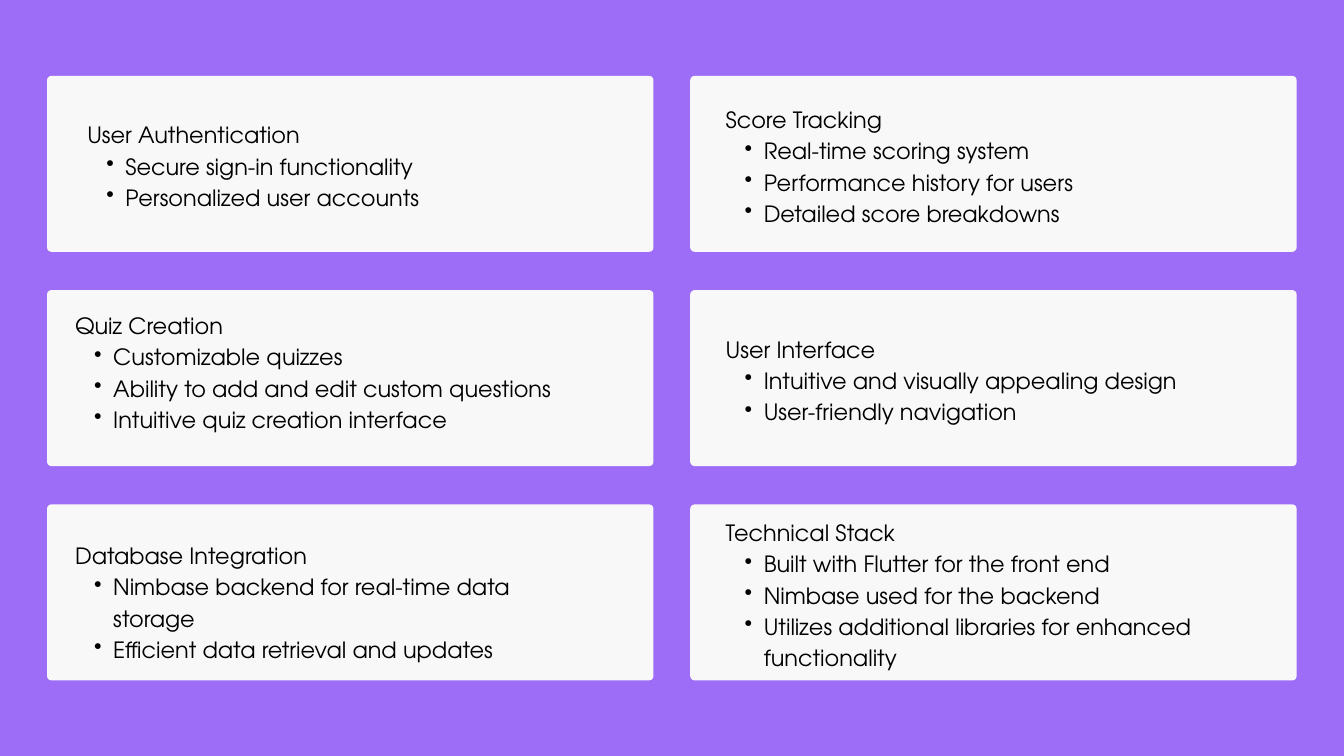
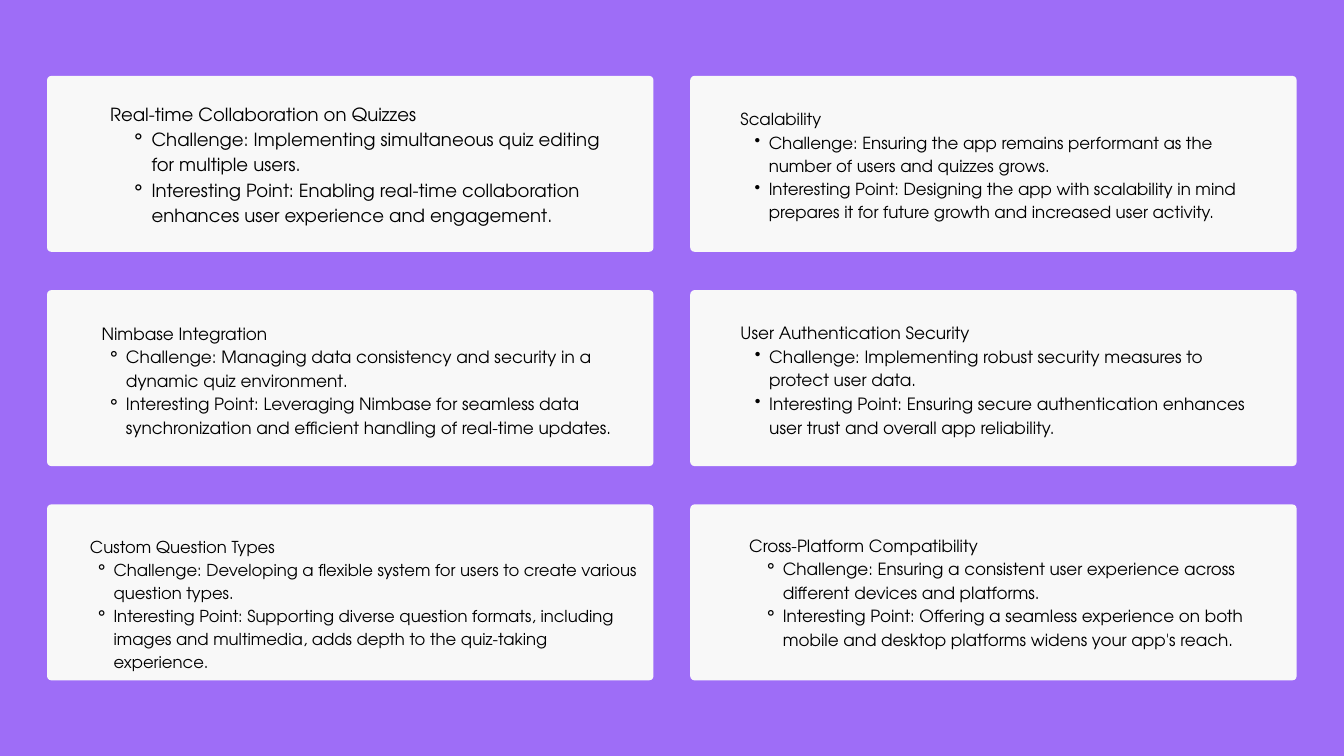
from dataclasses import dataclass

from lxml import etree
from pptx import Presentation
from pptx.dml.color import RGBColor
from pptx.enum import shapes, text
from pptx.oxml.ns import qn
from pptx.util import Cm, Pt

# Shared look
COLORS = {"background": "9E6DF7", "card": "F8F8F8", "ink": "000000"}
FONT = "TeX Gyre Adventor"
LINE_FACTOR = 1.4

# Card grid, in cm
CARD_W, CARD_H, CORNER = 22.92, 6.65, 0.16
LEFT, TOP = 1.78, 2.87
COLUMN_STEP, ROW_STEP = 24.31, 8.1

# Bullet styles: character, level, indent and hang in cm per point of text
DOT = ("•", 1, 0.06, 0.03)
RING = ("⚬", 2, 0.12, 0.04)


@dataclass
class Topic:
    heading: str
    points: list
    offset: tuple  # from the card's corner, in cm
    extent: tuple  # width and height of the text, in cm
    size: float = 24
    bullet: tuple = DOT
    heading_indent: float = 0


# Topics run row by row, left to right
FEATURES = [
    Topic("User Authentication",
          ["Secure sign-in functionality", "Personalized user accounts"],
          (1.52, 1.55), (19.13, 3.43)),
    Topic("Score Tracking",
          ["Real-time scoring system", "Performance history for users",
           "Detailed score breakdowns"],
          (1.34, 0.97), (19.13, 4.6)),
    Topic("Quiz Creation",
          ["Customizable quizzes", "Ability to add and edit custom questions",
           "Intuitive quiz creation interface"],
          (1.06, 0.66), (19.13, 4.6)),
    Topic("User Interface",
          ["Intuitive and visually appealing design", "User-friendly navigation"],
          (1.34, 1.55), (19.13, 3.43)),
    Topic("Database Integration",
          ["Nimbase backend for real-time data storage",
           "Efficient data retrieval and updates"],
          (1.06, 1.25), (19.13, 3.43)),
    Topic("Technical Stack",
          ["Built with Flutter for the front end", "Nimbase used for the backend",
           "Utilizes additional libraries for enhanced functionality"],
          (1.34, 0.38), (19.13, 5.77)),
]

CHALLENGES = [
    Topic("Real-time Collaboration on Quizzes",
          ["Challenge: Implementing simultaneous quiz editing for multiple users.",
           "Interesting Point: Enabling real-time collaboration enhances user "
           "experience and engagement."],
          (1.62, 0.89), (19.66, 4.7), 19.4, RING, 0.76),
    Topic("Scalability",
          ["Challenge: Ensuring the app remains performant as the number of users "
           "and quizzes grows.",
           "Interesting Point: Designing the app with scalability in mind prepares "
           "it for future growth and increased user activity."],
          (1.9, 1.14), (19.69, 4.27), 17.8),
    Topic("Nimbase Integration",
          ["Challenge: Managing data consistency and security in a dynamic quiz "
           "environment.",
           "Interesting Point: Leveraging Nimbase for seamless data synchronization "
           "and efficient handling of real-time updates."],
          (0.81, 1.12), (21.29, 4.34), 18.1, RING, 1.25),
    Topic("User Authentication Security",
          ["Challenge: Implementing robust security measures to protect user data.",
           "Interesting Point: Ensuring secure authentication enhances user trust "
           "and overall app reliability."],
          (1.9, 1.1), (19.13, 4.34), 18.1),
    Topic("Custom Question Types",
          ["Challenge: Developing a flexible system for users to create various "
           "question types.",
           "Interesting Point: Supporting diverse question formats, including images "
           "and multimedia, adds depth to the quiz-taking experience."],
          (0.4, 1.1), (22.1, 4.22), 17.6, RING, 1.22),
    Topic("Cross-Platform Compatibility",
          ["Challenge: Ensuring a consistent user experience across different "
           "devices and platforms.",
           "Interesting Point: Offering a seamless experience on both mobile and "
           "desktop platforms widens your app's reach."],
          (1.34, 1.04), (20.24, 4.32), 18, RING, 0.89),
]


def paint(fill, color):
    fill.solid()
    fill.fore_color.rgb = RGBColor.from_string(COLORS[color])


def add_card(slide, left, top):
    card = slide.shapes.add_shape(shapes.MSO_SHAPE.ROUNDED_RECTANGLE,
                                  Cm(left), Cm(top), Cm(CARD_W), Cm(CARD_H))
    card.adjustments[0] = CORNER / CARD_H
    card.shadow.inherit = False
    card.line.fill.background()
    paint(card.fill, "card")


def format_line(line, size, indent, hang=0, bullet=None):
    line.line_spacing = Pt(size * LINE_FACTOR)
    properties = line._p.get_or_add_pPr()
    properties.set("marL", str(Cm(indent)))
    properties.set("indent", str(-Cm(hang)))
    if bullet:
        etree.SubElement(properties, qn("a:buChar")).set("char", bullet)
    line.font.size = Pt(size)
    line.font.name = FONT
    line.font.color.rgb = RGBColor.from_string(COLORS["ink"])


def add_topic_text(slide, topic, left, top):
    width, height = topic.extent
    frame = slide.shapes.add_textbox(Cm(left), Cm(top), Cm(width), Cm(height)).text_frame
    frame.word_wrap = True
    frame.auto_size = text.MSO_AUTO_SIZE.SHAPE_TO_FIT_TEXT
    frame.margin_left = frame.margin_right = 0
    frame.margin_top = frame.margin_bottom = 0

    heading = frame.paragraphs[0]
    heading.text = topic.heading
    format_line(heading, topic.size, topic.heading_indent)

    character, level, indent, hang = topic.bullet
    for point in topic.points:
        item = frame.add_paragraph()
        item.text = point
        item.level = level
        format_line(item, topic.size, indent * topic.size, hang * topic.size, character)


def add_topic_slide(deck, topics):
    slide = deck.slides.add_slide(deck.slide_layouts.get_by_name("Blank"))
    for position, topic in enumerate(topics):
        row, column = divmod(position, 2)
        left, top = LEFT + column * COLUMN_STEP, TOP + row * ROW_STEP
        add_card(slide, left, top)
        add_topic_text(slide, topic, left + topic.offset[0], top + topic.offset[1])


def main():
    deck = Presentation()
    deck.slide_width, deck.slide_height = Cm(50.8), Cm(28.58)
    paint(deck.slide_master.background.fill, "background")
    for topics in (FEATURES, CHALLENGES):
        add_topic_slide(deck, topics)
    deck.save("out.pptx")


if __name__ == "__main__":
    main()
